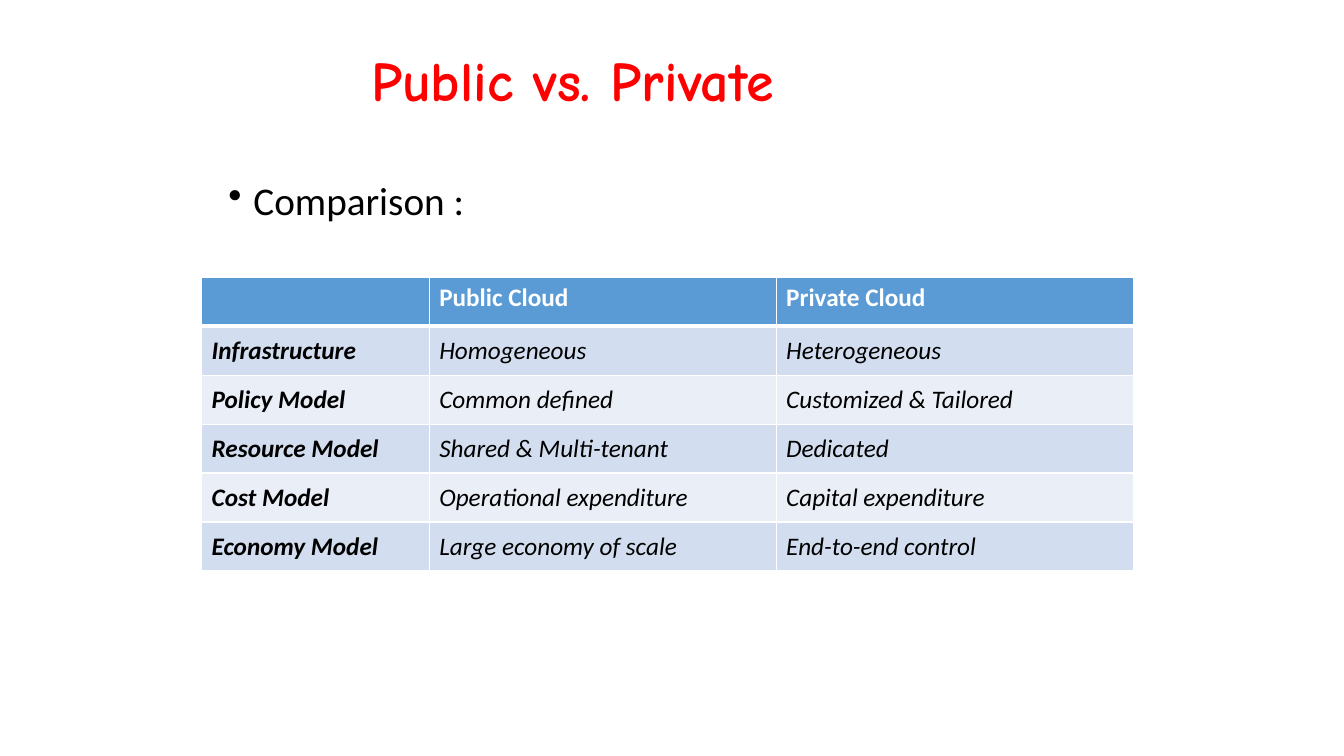
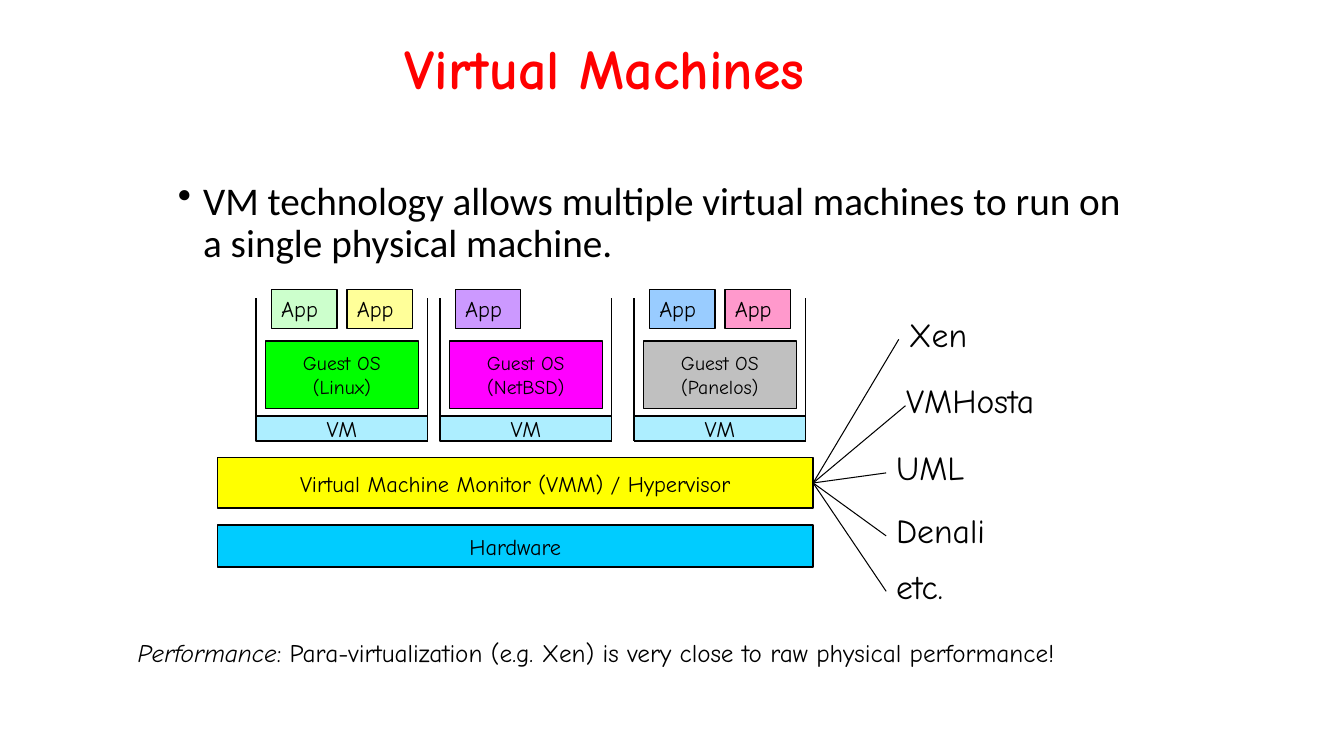
from lxml import etree
from pptx import Presentation, util as u
from pptx.dml.color import RGBColor
from pptx.enum import shapes, text
from pptx.oxml.ns import qn

# Grid: 160 columns by 90 rows on every slide
COLS, ROWS = 160, 90
BODY, HAND = "Calibri", "Comic Neue"
BLACK, WHITE, RED = "000000", "FFFFFF", "FF0000"
HEAD, BANDS = "5B9BD5", ("D2DEEF", "EAEFF7")
SKY, YELLOW = "00CCFF", "FFFF00"
ANCHOR, ALIGN = text.MSO_ANCHOR, text.PP_ALIGN

prs = Presentation()
prs.slide_width, prs.slide_height = u.Inches(13.33), u.Inches(7.5)


def gx(cols):
    return u.Emu(round(prs.slide_width * cols / COLS))


def gy(rows):
    return u.Emu(round(prs.slide_height * rows / ROWS))


def grid(box):
    x, y, w, h = box
    return gx(x), gy(y), gx(w), gy(h)


def rgb(hex_color):
    return RGBColor.from_string(hex_color)


def add_bullet(p):
    pPr = p._p.get_or_add_pPr()
    pPr.set("marL", str(u.Inches(0.25)))
    pPr.set("indent", str(-u.Inches(0.25)))
    etree.SubElement(pPr, qn("a:buChar")).set("char", "•")


def write(tf, content, size=18, font=HAND, color=BLACK, bold=False, italic=False,
          align=ALIGN.LEFT, anchor=ANCHOR.TOP, spacing=0.9, wrap=True, bullet=False):
    """Fill a frame; content is a string, or a list of (text, italic) runs."""
    tf.word_wrap, tf.vertical_anchor = wrap, anchor
    lines = content.split("\n") if isinstance(content, str) else [content]
    for i, line in enumerate(lines):
        p = tf.paragraphs[0] if i == 0 else tf.add_paragraph()
        p.alignment, p.line_spacing = align, spacing
        if bullet:
            add_bullet(p)
        for words, slanted in [(line, italic)] if isinstance(line, str) else line:
            r = p.add_run()
            r.text = words
            r.font.name, r.font.size = font, u.Pt(size)
            r.font.bold, r.font.italic = bold, slanted
            r.font.color.rgb = rgb(color)


def add_text(s, box, content, **fmt):
    write(s.shapes.add_textbox(*grid(box)).text_frame, content, **fmt)


def add_block(s, box, content, fill, alpha=None, **fmt):
    sp = s.shapes.add_shape(shapes.MSO_SHAPE.RECTANGLE, *grid(box))
    sp.shadow.inherit = False
    sp.fill.solid()
    sp.fill.fore_color.rgb = rgb(fill)
    if alpha is not None:
        clr = sp._element.spPr.find(qn("a:solidFill"))[0]
        etree.SubElement(clr, qn("a:alpha")).set("val", str(alpha * 1000))
    sp.line.color.rgb, sp.line.width = rgb(BLACK), u.Pt(1)
    style = dict(size=16, align=ALIGN.CENTER, anchor=ANCHOR.MIDDLE, spacing=1.02, wrap=False)
    write(sp.text_frame, content, **{**style, **fmt})


def add_line(s, x1, y1, x2, y2, width=1.0):
    ln = s.shapes.add_connector(shapes.MSO_CONNECTOR.STRAIGHT, gx(x1), gy(y1), gx(x2), gy(y2))
    ln.line.color.rgb, ln.line.width = rgb(BLACK), u.Pt(width)
    etree.SubElement(ln._element.spPr, qn("a:effectLst"))


def new_slide(title, title_box, body, body_box):
    s = prs.slides.add_slide(prs.slide_layouts[6])
    add_text(s, title_box, title, size=40, color=RED, bold=True, anchor=ANCHOR.MIDDLE)
    add_text(s, body_box, body, size=28, font=BODY, bullet=True)
    return s


def set_borders(cell, **widths):
    tcPr = cell._tc.get_or_add_tcPr()
    for side in "LRTB":
        ln = etree.SubElement(tcPr, qn("a:ln" + side))
        ln.set("w", str(u.Pt(widths.get(side, 1))))
        fill = etree.SubElement(ln, qn("a:solidFill"))
        etree.SubElement(fill, qn("a:srgbClr")).set("val", WHITE)


def comparison_table(s, box, widths, rows):
    tbl = s.shapes.add_table(len(rows), len(widths), *grid(box)).table
    tbl.first_row = tbl.horz_banding = False
    for col, width in zip(tbl.columns, widths):
        col.width = gx(width)
    for i, row in enumerate(rows):
        head = i == 0
        tbl.rows[i].height = gy(box[3] / len(rows))
        for j, words in enumerate(row):
            cell = tbl.cell(i, j)
            # The rule under the header is thicker
            set_borders(cell, B=3 if head else 1, T=3 if i == 1 else 1)
            cell.fill.solid()
            cell.fill.fore_color.rgb = rgb(HEAD if head else BANDS[(i - 1) % 2])
            write(cell.text_frame, words, font=BODY, color=WHITE if head else BLACK,
                  bold=head or j == 0, italic=not head, spacing=1.0)
            cell.vertical_anchor = ANCHOR.TOP if head else ANCHOR.MIDDLE


def virtual_machine(s, box, guest, guest_fill, app_fills):
    x, y, w, h = box
    strip = 3
    add_block(s, (x + 1.1, y + 5.1, w - 2.2, 8), f"Guest OS\n({guest})", guest_fill, size=14)
    # Open-topped frame with the VM strip at its foot
    for side in (x, x + w):
        add_line(s, side, y, side, y + h)
    add_line(s, x, y + h, x + w, y + h)
    add_block(s, (x, y + h - strip, w, strip), "VM", SKY, alpha=32)
    for i, fill in enumerate(app_fills):
        add_block(s, (x + 1.8 + 9 * i, y - 1, 7.8, 4.6), "App", fill,
                  align=ALIGN.LEFT, anchor=ANCHOR.TOP, wrap=True)


def hypervisor_fan(s, start, examples):
    for name, left, top, tip in examples:
        add_text(s, (left, top, 34, 6), name, size=24)
        add_line(s, *start, tip, top + 3.1, width=0.75)


def comparison_slide():
    s = new_slide("Public vs. Private", (43, 4.8, 106, 10.2), "Comparison :", (26, 21, 108, 8))
    comparison_table(s, (24, 33, 111, 35), (27.1, 41.3, 42.6), [
        ("", "Public Cloud", "Private Cloud"),
        ("Infrastructure", "Homogeneous", "Heterogeneous"),
        ("Policy Model", "Common defined", "Customized & Tailored"),
        ("Resource Model", "Shared & Multi-tenant", "Dedicated"),
        ("Cost Model", "Operational expenditure", "Capital expenditure"),
        ("Economy Model", "Large economy of scale", "End-to-end control"),
    ])


def machines_slide():
    s = new_slide("Virtual Machines", (47, 3, 70.8, 11),
                  "VM technology allows multiple virtual machines to run on "
                  "a single physical machine.", (20, 21, 115, 59))
    # Layers shared by all machines
    left, width = 25.9, 70.9
    add_block(s, (left, 62.5, width, 5), "Hardware", SKY)
    add_block(s, (left, 54.5, width, 6), "Virtual Machine Monitor (VMM) / Hypervisor", YELLOW)
    # Machines on top
    for x, guest, fill, apps in [
        (30.5, "Linux", "00FF00", ("CCFFCC", "FFFF99")),
        (52.4, "NetBSD", "FF00FF", ("CC99FF",)),
        (75.5, "Panelos", "C0C0C0", ("99CCFF", "FF99CC")),
    ]:
        virtual_machine(s, (x, 35.5, 20.4, 17), guest, fill, apps)
    # Example hypervisors: name, left, top, end of line
    hypervisor_fan(s, (left + width, 57.5), [
        ("Xen", 107, 37.3, 107),
        ("VMHosta", 106.7, 45.2, 107.8),
        ("UML", 105.5, 53.2, 105.5),
        ("Denali", 105.5, 60.7, 105.5),
        ("etc.", 105.5, 67.3, 105.5),
    ])
    # Closing remark
    add_text(s, (15.2, 75.7, 124.7, 8), [
        ("Performance", True),
        (": Para-virtualization (e.g. Xen) is very close to raw physical performance!", False),
    ])


def main():
    comparison_slide()
    machines_slide()
    prs.save("out.pptx")


if __name__ == "__main__":
    main()
